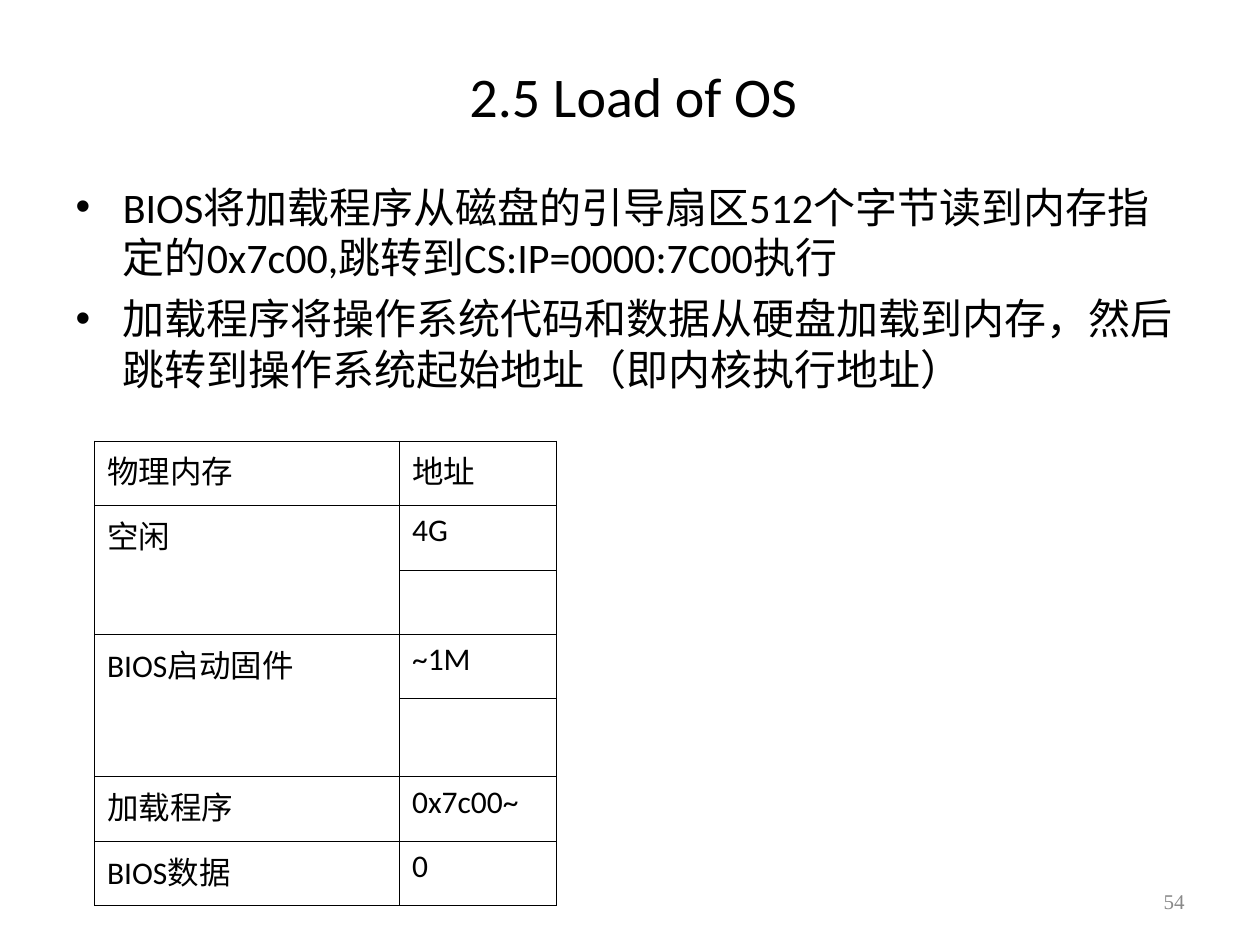
from lxml.etree import SubElement
from pptx import Presentation
from pptx.dml.color import RGBColor
from pptx.enum.text import MSO_ANCHOR, MSO_AUTO_SIZE, PP_ALIGN
from pptx.oxml.ns import qn
from pptx.util import Pt

COLORS = {"text": "000000", "border": "000000", "number": "898989"}
BULLETS = [
    "BIOS将加载程序从磁盘的引导扇区512个字节读到内存指定的0x7c00,跳转到CS:IP=0000:7C00执行",
    "加载程序将操作系统代码和数据从硬盘加载到内存，然后跳转到操作系统起始地址（即内核执行地址）",
]
MEMORY_MAP = [
    ("物理内存", "地址"),
    ("空闲", "4G"),
    ("", ""),
    ("BIOS启动固件", "~1M"),
    ("", ""),
    ("加载程序", "0x7c00~"),
    ("BIOS数据", "0"),
]
MERGED_STARTS = (1, 3)
COLUMN_WIDTHS = (174.3, 89.7)
ROW_HEIGHTS = (36.85, 36.85, 36.85, 36.85, 44.6, 36.85, 36.85)


def place(shape, box):
    """Move a shape to a box of left, top, width and height in points."""
    shape.left, shape.top, shape.width, shape.height = map(Pt, box)


def style(font, size, color="text", name="Calibri"):
    """Set the size, colour and typeface of a font."""
    font.size = Pt(size)
    font.name = name
    font.color.rgb = RGBColor.from_string(COLORS[color])


def write(para, text, size, color="text", name="Calibri"):
    """Add one formatted run to a paragraph."""
    span = para.add_run()
    span.text = text
    style(span.font, size, color, name)


def add_title(page, box, text):
    """Fill the title placeholder."""
    title = page.shapes.title
    place(title, box)
    frame = title.text_frame
    frame.auto_size = MSO_AUTO_SIZE.NONE
    frame.vertical_anchor = MSO_ANCHOR.MIDDLE
    frame.paragraphs[0].alignment = PP_ALIGN.CENTER
    write(frame.paragraphs[0], text, 32)


def add_bullets(page, box, items):
    """Fill the body placeholder with a bulleted list."""
    body = page.placeholders[1]
    place(body, box)
    frame = body.text_frame
    frame.auto_size = MSO_AUTO_SIZE.NONE
    for index, item in enumerate(items):
        para = frame.add_paragraph() if index else frame.paragraphs[0]
        para.space_before = Pt(6 if index else 0)
        properties = para._p.get_or_add_pPr()
        properties.set("marL", str(Pt(27)))
        properties.set("indent", str(Pt(-27)))
        write(para, item, 24)


def outline(cell):
    """Draw thin borders round a cell and clear its fill."""
    properties = cell._tc.get_or_add_tcPr()
    for side in ("lnL", "lnR", "lnT", "lnB"):
        line = SubElement(properties, qn(f"a:{side}"), w=str(Pt(0.45)))
        fill = SubElement(line, qn("a:solidFill"))
        SubElement(fill, qn("a:srgbClr"), val=COLORS["border"])
    cell.fill.background()


def add_memory_table(page, box):
    """Add the memory map table with its merged regions."""
    frame = page.shapes.add_table(
        len(MEMORY_MAP), len(COLUMN_WIDTHS), *map(Pt, box)
    )
    table = frame.table
    table.first_row = False
    table.horz_banding = False
    for column, width in zip(table.columns, COLUMN_WIDTHS):
        column.width = Pt(width)
    for row, height, texts in zip(table.rows, ROW_HEIGHTS, MEMORY_MAP):
        row.height = Pt(height)
        for cell, text in zip(row.cells, texts):
            outline(cell)
            para = cell.text_frame.paragraphs[0]
            if text:
                write(para, text, 18)
            else:
                style(para.font, 18)
    for start in MERGED_STARTS:
        table.cell(start, 0).merge(table.cell(start + 1, 0))


def add_page_number(page, box, text):
    """Add the page number, aligned right."""
    frame = page.shapes.add_textbox(*map(Pt, box)).text_frame
    frame.word_wrap = True
    frame.vertical_anchor = MSO_ANCHOR.MIDDLE
    frame.paragraphs[0].alignment = PP_ALIGN.RIGHT
    write(frame.paragraphs[0], text, 12, "number", "Times New Roman")


def main():
    """Build and save the deck."""
    deck = Presentation()
    deck.slide_width, deck.slide_height = Pt(720), Pt(540)
    page = deck.slides.add_slide(deck.slide_layouts[1])
    add_title(page, (2, 24, 720, 61), "2.5 Load of OS")
    add_bullets(page, (36, 100, 648, 170), BULLETS)
    add_page_number(page, (516, 500.5, 168, 28.75), "54")
    add_memory_table(page, (54, 252, sum(COLUMN_WIDTHS), sum(ROW_HEIGHTS)))
    deck.save("out.pptx")


if __name__ == "__main__":
    main()
